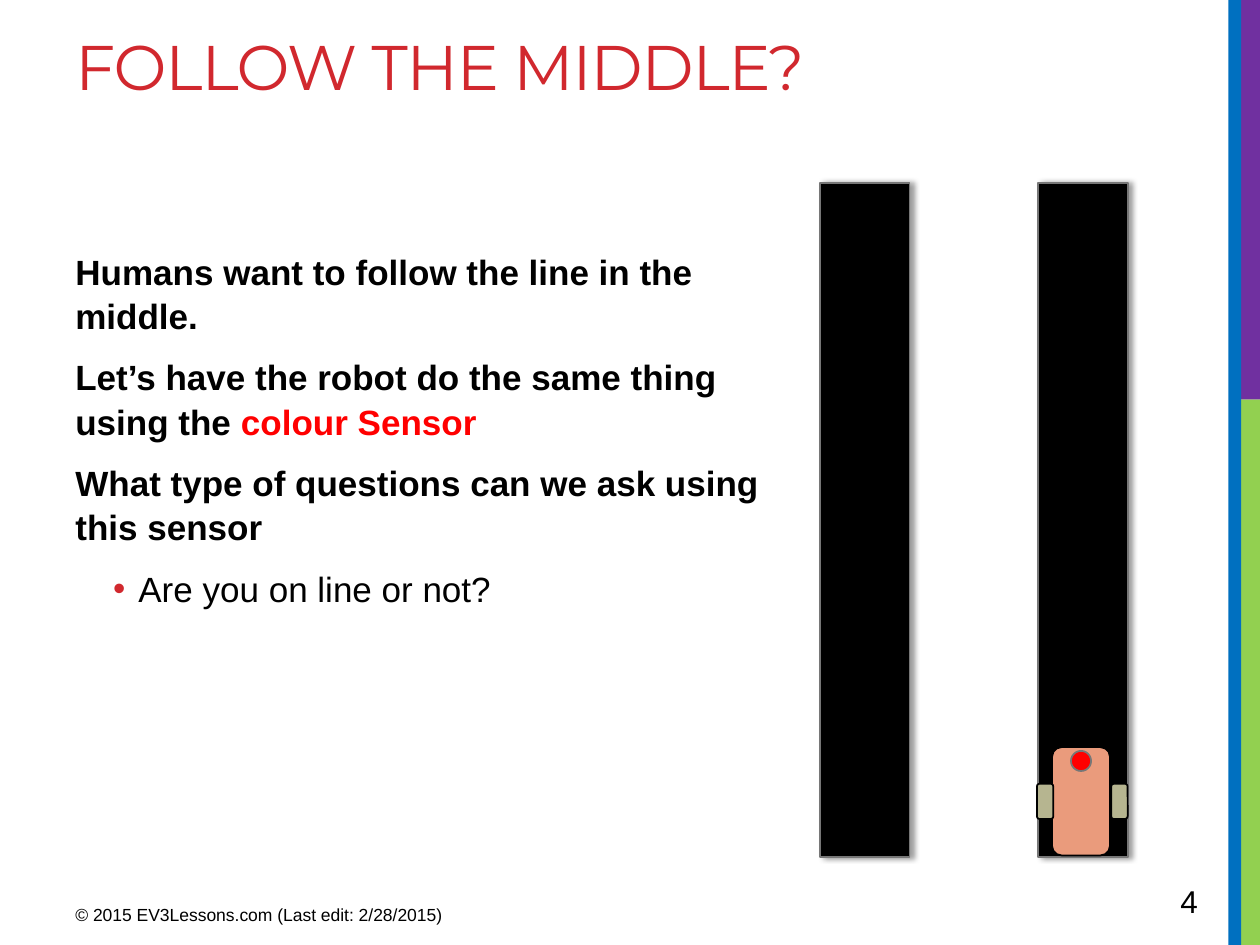
from dataclasses import dataclass
from typing import Optional

from lxml import etree
from pptx import Presentation
from pptx.dml.color import RGBColor
from pptx.enum.shapes import MSO_SHAPE
from pptx.enum.text import MSO_ANCHOR
from pptx.oxml.ns import qn
from pptx.util import Inches, Pt

RECT, ROUND, OVAL = MSO_SHAPE.RECTANGLE, MSO_SHAPE.ROUNDED_RECTANGLE, MSO_SHAPE.OVAL
TOP, MIDDLE = MSO_ANCHOR.TOP, MSO_ANCHOR.MIDDLE

COLORS = {
    "green": "92D050", "purple": "7030A0", "blue": "0070C0", "title": "D1282E",
    "black": "000000", "red": "FF0000", "gray": "777777",
    "chassis": "EA9B7C", "wheel": "B6B590",
}


@dataclass
class Block:
    kind: MSO_SHAPE
    left: float
    top: float
    width: float
    height: float
    fill: str
    line: Optional[str] = None
    shadow: bool = False


@dataclass
class Run:
    text: str
    color: str = "black"
    bold: bool = False


@dataclass
class Para:
    runs: list[Run]
    bullet: bool = False


def rgb(name: str) -> RGBColor:
    return RGBColor.from_string(COLORS[name])


def add_shadow(sp) -> None:
    effects = sp._element.spPr.find(qn("a:effectLst"))
    outer = etree.SubElement(effects, qn("a:outerShdw"), blurRad=str(Pt(3.1)),
                             dist=str(Pt(1.8)), dir="0", rotWithShape="0")
    color = etree.SubElement(outer, qn("a:srgbClr"), val=COLORS["black"])
    etree.SubElement(color, qn("a:alpha"), val="40000")


def add_block(shapes, b: Block) -> None:
    sp = shapes.add_shape(b.kind, Inches(b.left), Inches(b.top),
                          Inches(b.width), Inches(b.height))
    sp.shadow.inherit = False
    sp.fill.solid()
    sp.fill.fore_color.rgb = rgb(b.fill)
    if b.line:
        sp.line.color.rgb = rgb(b.line)
        sp.line.width = Pt(1)
    else:
        sp.line.fill.background()
    if b.shadow:
        add_shadow(sp)


def add_bullet(p) -> None:
    pPr = p._p.get_or_add_pPr()
    pPr.set("lvl", "1")
    pPr.set("marL", str(Inches(0.5)))
    pPr.set("indent", str(Inches(-0.2)))
    color = etree.SubElement(pPr, qn("a:buClr"))
    etree.SubElement(color, qn("a:srgbClr"), val=COLORS["title"])
    etree.SubElement(pPr, qn("a:buFont"), typeface="Arial")
    etree.SubElement(pPr, qn("a:buChar"), char="•")


def add_text(shapes, paras: list[Para], left: float, top: float, width: float,
             height: float, *, size: float, font: str = "Arial", anchor=TOP,
             line_spacing: float = 1.0, before: float = 0, after: float = 0,
             tracking: float = 0) -> None:
    tf = shapes.add_textbox(Inches(left), Inches(top), Inches(width), Inches(height)).text_frame
    tf.word_wrap = True
    tf.vertical_anchor = anchor
    for i, para in enumerate(paras):
        p = tf.paragraphs[0] if i == 0 else tf.add_paragraph()
        if para.bullet:
            add_bullet(p)
        p.line_spacing = line_spacing
        p.space_before = Pt(before if i else 0)
        p.space_after = Pt(after)
        for run in para.runs:
            r = p.add_run()
            r.text = run.text
            r.font.name = font
            r.font.size = Pt(size)
            r.font.bold = run.bold
            r.font.color.rgb = rgb(run.color)
            if tracking:
                r.font._element.set("spc", str(round(tracking * 100)))


SIDEBAR = [
    Block(RECT, 9.84, 3.17, 0.16, 4.33, "green"),
    Block(RECT, 9.8, 0, 0.2, 3.17, "purple"),
    Block(RECT, 9.75, 0, 0.1, 7.5, "blue"),
]
TRACKS = [Block(RECT, x, 1.45, 0.71, 5.35, "black", "gray", True) for x in (6.51, 8.24)]
ROBOT = [
    Block(ROUND, 8.35, 5.93, 0.46, 0.86, "chassis", "black"),
    *[Block(ROUND, x, 6.22, 0.13, 0.28, "wheel", "black") for x in (8.82, 8.23)],
    Block(OVAL, 8.5, 5.96, 0.16, 0.16, "red", "gray"),
]
BODY = [
    Para([Run("Humans want to follow the line in the middle.", bold=True)]),
    Para([Run("Let’s have the robot do the same thing using the ", bold=True),
          Run("colour Sensor", "red", True)]),
    Para([Run("What type of questions can we ask using this sensor", bold=True)]),
    Para([Run("Are you on line or not?")], bullet=True),
]


def main() -> None:
    prs = Presentation()
    prs.slide_width, prs.slide_height = Inches(10), Inches(7.5)
    s = prs.slides.add_slide(prs.slide_layouts[6])
    for bar in SIDEBAR:
        add_block(s.shapes, bar)
    add_text(s.shapes, [Para([Run("FOLLOW THE MIDDLE?", "title")])], 0.5, 0.17, 9.02, 1.5,
             size=36, font="Montserrat", tracking=-0.6)
    add_text(s.shapes, BODY, 0.5, 1.92, 5.7, 4.78, size=20,
             line_spacing=1.05, before=4, after=6)
    add_text(s.shapes, [Para([Run("© 2015 EV3Lessons.com (Last edit: 2/28/2015)")])],
             0.5, 7.1, 3.75, 0.31, size=10, anchor=MIDDLE)
    add_text(s.shapes, [Para([Run("4")])], 9.27, 6.95, 0.73, 0.4, size=18, anchor=MIDDLE)
    for track in TRACKS:
        add_block(s.shapes, track)
    robot = s.shapes.add_group_shape()
    for part in ROBOT:
        add_block(robot.shapes, part)
    prs.save("out.pptx")


if __name__ == "__main__":
    main()
